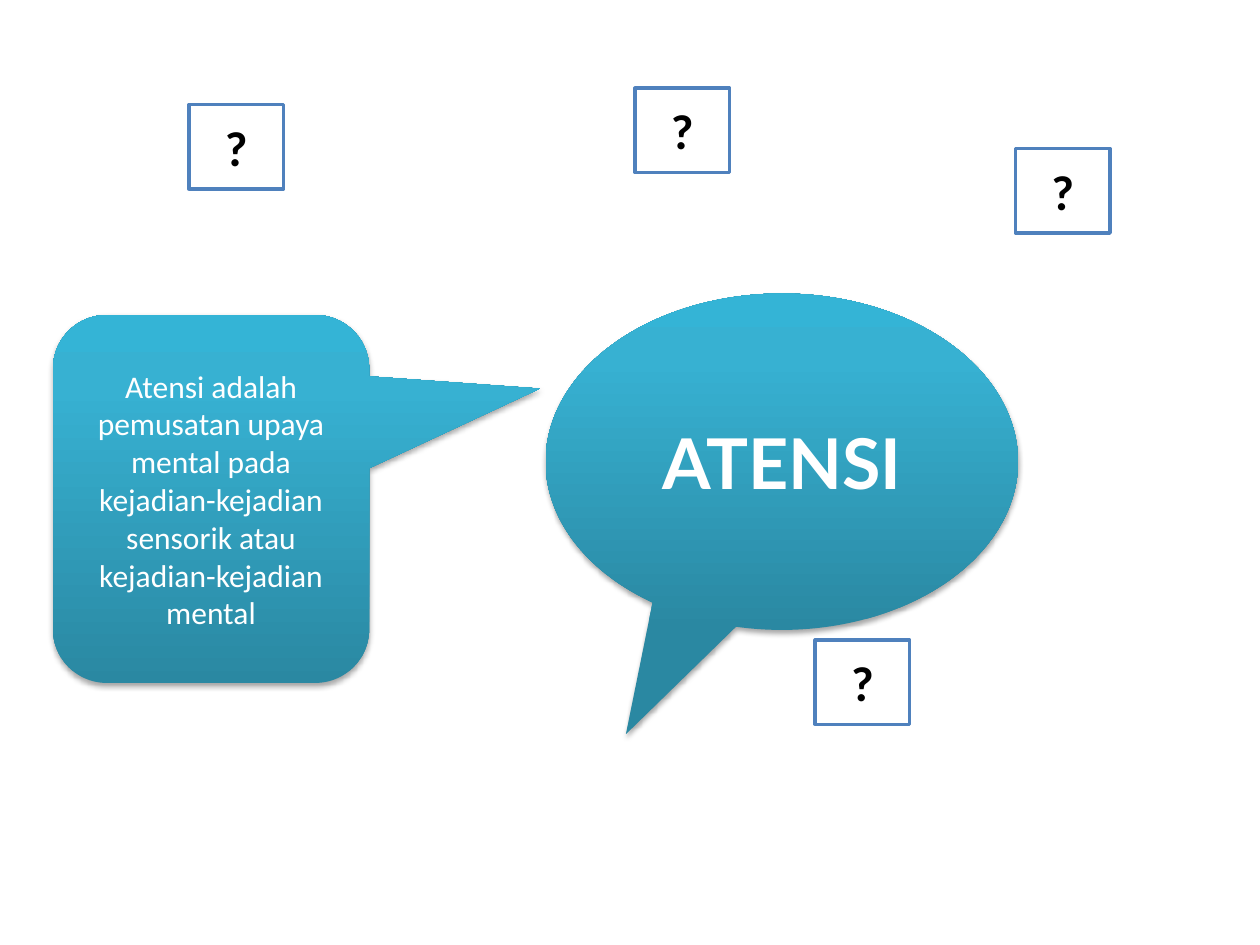
from copy import deepcopy

from pptx import Presentation
from pptx.dml.color import RGBColor
from pptx.enum.shapes import MSO_SHAPE as Shape
from pptx.enum.text import MSO_ANCHOR as Anchor, PP_ALIGN as Align
from pptx.oxml import parse_xml
from pptx.oxml.ns import nsdecls, qn
from pptx.util import Inches, Pt

COLORS = {
    "white": "FFFFFF",
    "black": "000000",
    "border": "4F81BD",
    "teal_dark": "2A88A2",
    "teal": "37B1D2",
    "teal_light": "34B4D6",
}
TEAL_STOPS = [(0, "teal_dark"), (0.8, "teal"), (1, "teal_light")]
QUESTION_SPOTS = [(1.5, 0.83), (8.06, 1.18), (6.47, 5.08), (5.04, 0.7)]
DEFINITION = ("Atensi adalah pemusatan upaya mental pada kejadian-kejadian "
              "sensorik atau kejadian-kejadian mental")


def rgb(name):
    return RGBColor.from_string(COLORS[name])


def add_shape(page, kind, left, top, width, height):
    shape = page.shapes.add_shape(
        kind, Inches(left), Inches(top), Inches(width), Inches(height))
    shape.shadow.inherit = False
    return shape


def write_text(shape, text, font, size, color, bold=False):
    frame = shape.text_frame
    frame.word_wrap = True
    frame.vertical_anchor = Anchor.MIDDLE
    para = frame.paragraphs[0]
    para.text = text
    para.alignment = Align.CENTER
    para.font.name = font
    para.font.size = Pt(size)
    para.font.bold = bold
    para.font.color.rgb = rgb(color)


def fill_teal(shape):
    shape.fill.gradient()
    shape.fill.gradient_angle = 90
    # The default gradient has two stops; a third is needed
    stop_list = shape._element.spPr.find(qn("a:gradFill")).find(qn("a:gsLst"))
    stop_list.append(deepcopy(stop_list[-1]))
    for stop, (position, color) in zip(shape.fill.gradient_stops, TEAL_STOPS):
        stop.position = position
        stop.color.rgb = rgb(color)


def add_soft_shadow(shape):
    effects = shape._element.spPr.find(qn("a:effectLst"))
    effects.append(parse_xml(
        f'<a:outerShdw {nsdecls("a")} blurRad="{Pt(3.1)}" dist="{Pt(1.8)}" '
        f'dir="5400000" rotWithShape="0"><a:srgbClr val="{COLORS["black"]}">'
        '<a:alpha val="35000"/></a:srgbClr></a:outerShdw>'))


def add_callout(page, kind, bounds, adjustments):
    callout = add_shape(page, kind, *bounds)
    for index, value in enumerate(adjustments):
        callout.adjustments[index] = value
    fill_teal(callout)
    callout.line.fill.background()
    add_soft_shadow(callout)
    return callout


def add_question(page, left, top):
    box = add_shape(page, Shape.RECTANGLE, left, top, 0.75, 0.67)
    box.fill.solid()
    box.fill.fore_color.rgb = rgb("white")
    box.line.color.rgb = rgb("border")
    box.line.width = Pt(2)
    write_text(box, "?", "Calibri", 28, "black", bold=True)


def main():
    deck = Presentation()
    deck.slide_width, deck.slide_height = Inches(10), Inches(7.5)
    page = deck.slides.add_slide(deck.slide_layouts[6])

    # Topic bubble
    topic = add_callout(page, Shape.OVAL_CALLOUT,
                        (4.33, 2.33, 3.75, 2.67), (-0.33, 0.81))
    write_text(topic, "ATENSI", "Lato", 40, "white", bold=True)

    # Question marks around the topic
    for left, top in QUESTION_SPOTS:
        add_question(page, left, top)

    # Definition bubble pointing at the topic
    definition = add_callout(page, Shape.ROUNDED_RECTANGULAR_CALLOUT,
                             (0.42, 2.5, 2.51, 2.92), (1.04, -0.3, 0.17))
    write_text(definition, DEFINITION, "Calibri", 18, "white")

    deck.save("out.pptx")


if __name__ == "__main__":
    main()
